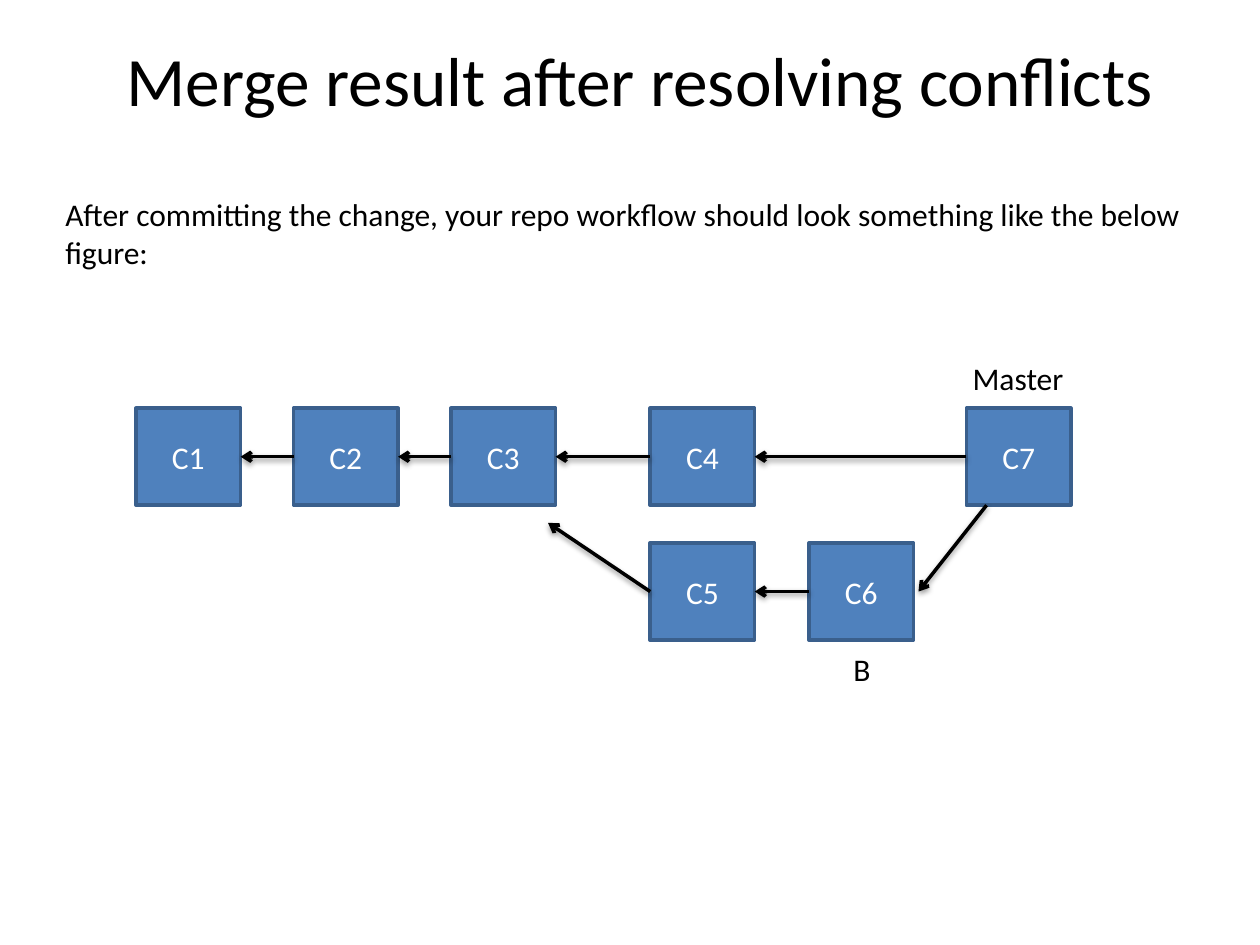
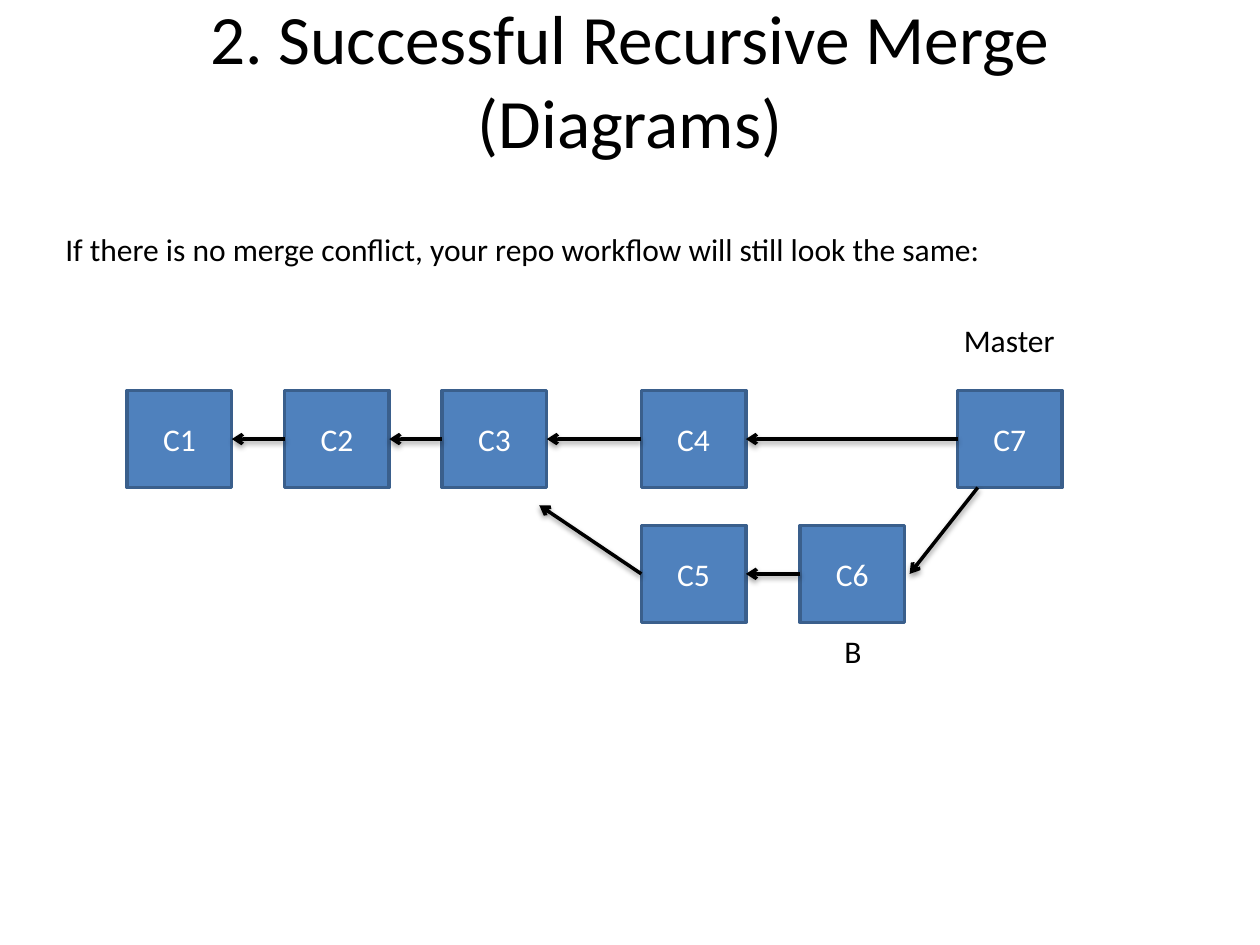
from lxml import etree
from pptx import Presentation
from pptx.dml.color import RGBColor
from pptx.enum.shapes import MSO_CONNECTOR, MSO_SHAPE
from pptx.enum.text import MSO_ANCHOR, PP_ALIGN
from pptx.oxml import parse_xml
from pptx.oxml.ns import nsdecls, qn
from pptx.util import Inches, Pt

RECT, STRAIGHT = MSO_SHAPE.RECTANGLE, MSO_CONNECTOR.STRAIGHT
LEFT, CENTER = PP_ALIGN.LEFT, PP_ALIGN.CENTER
TOP, MIDDLE = MSO_ANCHOR.TOP, MSO_ANCHOR.MIDDLE

FONT = "Calibri"
BLACK, WHITE, BLUE, NAVY = "000000", "FFFFFF", "4F81BD", "3A5F8C"
SHADOW = (f'<a:effectLst {nsdecls("a")}><a:outerShdw blurRad="40000" dist="20000" '
          'dir="5400000" rotWithShape="0"><a:srgbClr val="000000">'
          '<a:alpha val="38000"/></a:srgbClr></a:outerShdw></a:effectLst>')

# The commit graph, in inches from the top left corner of C1
BOX_W, BOX_H = 0.83, 0.77
COLS = [0, 1.25, 2.5, 4.08, 5.34, 6.59]
ROWS = [0, 1.07]
COMMITS = {"C1": (0, 0), "C2": (1, 0), "C3": (2, 0), "C4": (3, 0),
           "C5": (3, 1), "C6": (4, 1), "C7": (5, 0)}
PARENTS = [("C2", "C1"), ("C3", "C2"), ("C4", "C3"), ("C7", "C4"), ("C6", "C5")]
MID = BOX_H / 2
BRANCHES = [(COLS[3], ROWS[1] + MID, COLS[2] + 0.77, ROWS[0] + 0.91),
            (COLS[5] + 0.16, ROWS[0] + BOX_H, COLS[4] + 0.87, ROWS[1] + MID)]

# title, title left, caption, caption box, graph origin, rise of the Master label
SLIDES = [
    ("Merge result after resolving conflicts", 0.58,
     "After committing the change, your repo workflow should look something "
     "like the below figure:", (0.42, 1.5, 9.33, 0.71), (1.08, 3.24), 0.44),
    ("2. Successful Recursive Merge\n(Diagrams)", 0.5,
     "If there is no merge conflict, your repo workflow will still look the same:",
     (0.42, 1.78, 9.08, 0.4), (1.01, 3.1), 0.6),
]


def rgb(value):
    """Turn a hex string into a colour."""
    return RGBColor.from_string(value)


def write(sp, text, size=18, color=BLACK, align=CENTER, anchor=TOP):
    """Put one wrapped, styled paragraph into a shape."""
    tf = sp.text_frame
    tf.word_wrap = True
    tf.vertical_anchor = anchor
    p = tf.paragraphs[0]
    p.text = text
    p.alignment = align
    p.font.name, p.font.size = FONT, Pt(size)
    p.font.color.rgb = rgb(color)


prs = Presentation()
prs.slide_width, prs.slide_height = Inches(10), Inches(7.5)

for title, title_x, caption, caption_box, (x0, y0), rise in SLIDES:
    s = prs.slides.add_slide(prs.slide_layouts[6])
    sp = s.shapes.add_textbox(*map(Inches, (title_x, 0, 9, 1.25)))
    write(sp, title, size=39.6, anchor=MIDDLE)
    sp = s.shapes.add_textbox(*map(Inches, caption_box))
    write(sp, caption, align=LEFT)

    for name, (col, row) in COMMITS.items():
        box = (x0 + COLS[col], y0 + ROWS[row], BOX_W, BOX_H)
        sp = s.shapes.add_shape(RECT, *map(Inches, box))
        sp.shadow.inherit = False
        sp.fill.solid()
        sp.fill.fore_color.rgb = rgb(BLUE)
        sp.line.color.rgb = rgb(NAVY)
        sp.line.width = Pt(2)
        write(sp, name, color=WHITE, anchor=MIDDLE)

    # Each commit points back to its parent: left side to right side
    arrows = list(BRANCHES)
    for child, parent in PARENTS:
        (col, row), (parent_col, _) = COMMITS[child], COMMITS[parent]
        y = ROWS[row] + MID
        arrows.append((COLS[col], y, COLS[parent_col] + BOX_W, y))
    for x1, y1, x2, y2 in arrows:
        ends = (x0 + x1, y0 + y1, x0 + x2, y0 + y2)
        line = s.shapes.add_connector(STRAIGHT, *map(Inches, ends))
        line.line.color.rgb = rgb(BLACK)
        line.line.width = Pt(2)
        ln = line.line._get_or_add_ln()
        etree.SubElement(ln, qn("a:tailEnd"), type="arrow")
        line._element.spPr.append(parse_xml(SHADOW))

    for label, dx, dy, width in [("Master", 6.48, -rise, 1.04), ("B", 5.51, 1.87, 0.5)]:
        sp = s.shapes.add_textbox(*map(Inches, (x0 + dx, y0 + dy, width, 0.4)))
        write(sp, label)

prs.save("out.pptx")
